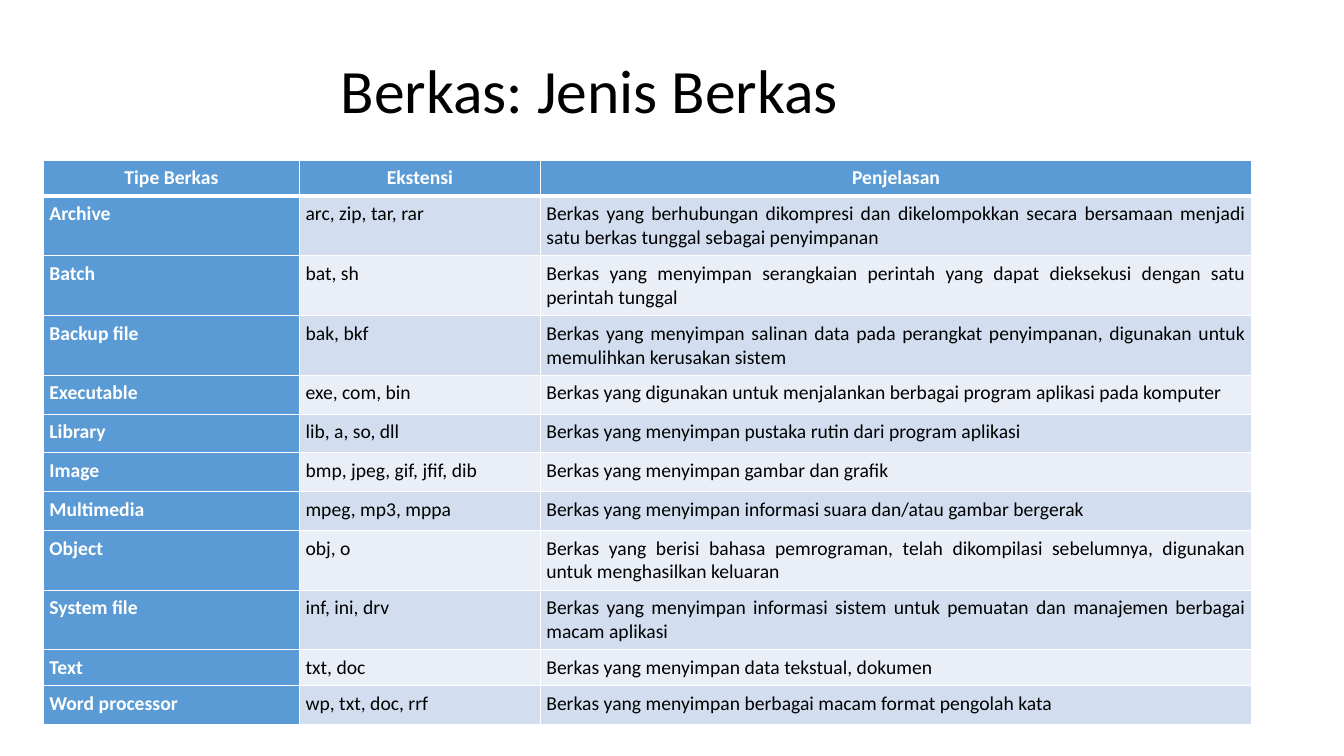
from lxml.etree import SubElement
from pptx import Presentation
from pptx.dml.color import RGBColor
from pptx.enum.text import MSO_ANCHOR as Anchor, PP_ALIGN as Align
from pptx.oxml.ns import qn
from pptx.util import Pt

BLUE, WHITE, BLACK = "5B9BD5", "FFFFFF", "000000"
BANDS = ["D2DEEF", "EAEFF7"]
WIDTHS = [183, 172, 508.3]
SINGLE, DOUBLE, TIGHT = 27.7, 42.1, 24.7
HEADS = ["Tipe Berkas", "Ekstensi", "Penjelasan"]
ROWS = [
    (DOUBLE, "Archive", "arc, zip, tar, rar",
     "Berkas yang berhubungan dikompresi dan dikelompokkan secara bersamaan menjadi satu berkas tunggal sebagai penyimpanan"),
    (DOUBLE, "Batch", "bat, sh",
     "Berkas yang menyimpan serangkaian perintah yang dapat dieksekusi dengan satu perintah tunggal"),
    (DOUBLE, "Backup file", "bak, bkf",
     "Berkas yang menyimpan salinan data pada perangkat penyimpanan, digunakan untuk memulihkan kerusakan sistem"),
    (SINGLE, "Executable", "exe, com, bin",
     "Berkas yang digunakan untuk menjalankan berbagai program aplikasi pada komputer"),
    (SINGLE, "Library", "lib, a, so, dll",
     "Berkas yang menyimpan pustaka rutin dari program aplikasi"),
    (SINGLE, "Image", "bmp, jpeg, gif, jfif, dib",
     "Berkas yang menyimpan gambar dan grafik"),
    (SINGLE, "Multimedia", "mpeg, mp3, mppa",
     "Berkas yang menyimpan informasi suara dan/atau gambar bergerak"),
    (DOUBLE, "Object", "obj, o",
     "Berkas yang berisi bahasa pemrograman, telah dikompilasi sebelumnya, digunakan untuk menghasilkan keluaran"),
    (DOUBLE, "System file", "inf, ini, drv",
     "Berkas yang menyimpan informasi sistem untuk pemuatan dan manajemen berbagai macam aplikasi"),
    (TIGHT, "Text", "txt, doc",
     "Berkas yang menyimpan data tekstual, dokumen"),
    (SINGLE, "Word processor", "wp, txt, doc, rrf",
     "Berkas yang menyimpan berbagai macam format pengolah kata"),
]


def paint(color, tone):
    color.rgb = RGBColor.from_string(tone)


def write(frame, text, size=14, tone=BLACK, bold=False, align=Align.JUSTIFY, space=1.0):
    para = frame.paragraphs[0]
    para.alignment = align
    para.line_spacing = space
    run = para.add_run()
    run.text = text
    run.font.name = "Calibri"
    run.font.size = Pt(size)
    run.font.bold = bold
    paint(run.font.color, tone)


def edge(cell, side, width):
    line = SubElement(cell._tc.get_or_add_tcPr(), qn(f"a:{side}"), w=str(Pt(width)))
    fill = SubElement(line, qn("a:solidFill"))
    SubElement(fill, qn("a:srgbClr"), val=WHITE)


def style(cell, fill, top=1, base=1):
    cell.margin_left = cell.margin_right = Pt(4.3)
    cell.margin_top = cell.margin_bottom = Pt(4.3)
    for side, width in [("lnL", 1), ("lnR", 1), ("lnT", top), ("lnB", base)]:
        edge(cell, side, width)
    cell.fill.solid()
    paint(cell.fill.fore_color, fill)


def add_title(slide, text):
    title = slide.shapes.title
    title.left, title.top = Pt(236.2), Pt(28.8)
    title.width, title.height = Pt(658), Pt(75.6)
    title.text_frame.vertical_anchor = Anchor.MIDDLE
    write(title.text_frame, text, size=44, align=Align.LEFT, space=0.9)


def add_grid(slide):
    heights = [TIGHT] + [row[0] for row in ROWS]
    grid = slide.shapes.add_table(
        len(heights), len(WIDTHS), Pt(31), Pt(114.5), Pt(sum(WIDTHS)), Pt(sum(heights))
    ).table
    for col, width in zip(grid.columns, WIDTHS):
        col.width = Pt(width)
    for row, height in zip(grid.rows, heights):
        row.height = Pt(height)
    for c, head in enumerate(HEADS):
        cell = grid.cell(0, c)
        style(cell, BLUE, base=3)
        write(cell.text_frame, head, tone=WHITE, bold=True, align=Align.CENTER)
    for r, (_, *texts) in enumerate(ROWS, 1):
        for c, text in enumerate(texts):
            cell = grid.cell(r, c)
            first = c == 0
            style(cell, BLUE if first else BANDS[(r - 1) % 2], top=3 if r == 1 else 1)
            write(cell.text_frame, text, tone=WHITE if first else BLACK, bold=first)


def main():
    deck = Presentation()
    deck.slide_width, deck.slide_height = Pt(960), Pt(540)
    slide = deck.slides.add_slide(deck.slide_layouts[5])
    add_title(slide, "Berkas: Jenis Berkas")
    add_grid(slide)
    deck.save("out.pptx")


if __name__ == "__main__":
    main()
